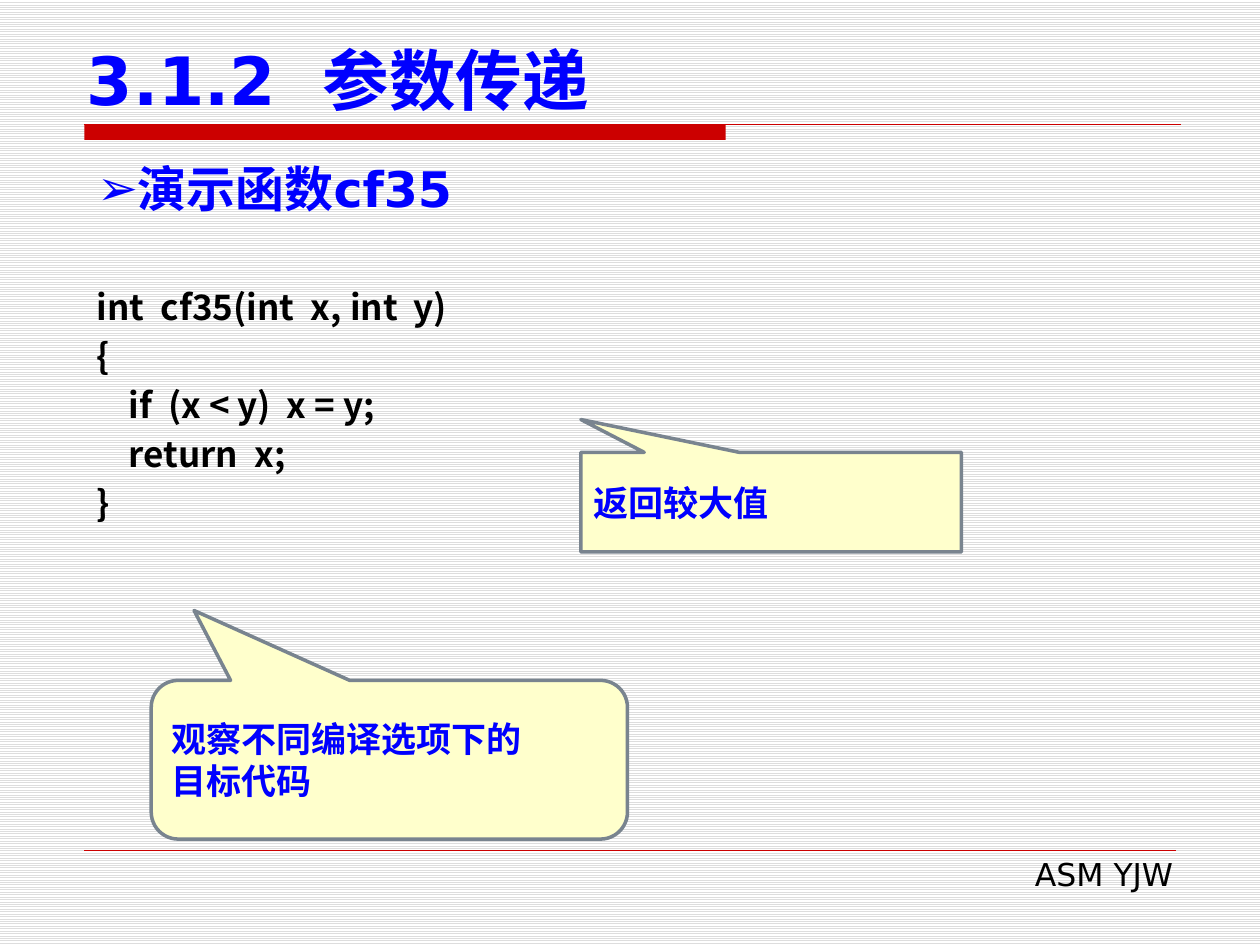
from lxml.etree import SubElement
from pptx import Presentation
from pptx.dml.color import RGBColor
from pptx.enum.dml import MSO_PATTERN
from pptx.enum.shapes import MSO_CONNECTOR, MSO_SHAPE
from pptx.enum.text import MSO_ANCHOR as ANCHOR, MSO_AUTO_SIZE, PP_ALIGN as ALIGN
from pptx.oxml.ns import qn
from pptx.util import Emu, Pt

LATIN = "DejaVu Sans"
CJK = "Noto Sans CJK SC"
BLUE, RED, BLACK = "0000FF", "CC0000", "000000"
CREAM, SLATE = "FFFFCC", "79848F"
CODE = [
    "int  cf35(int  x, int  y)",
    "{",
    "    if  (x < y)  x = y;",
    "    return  x;",
    "}",
]


def px(length):
    """Turn px, at 100 to the inch, into EMU."""
    return Emu(length * 9144)


def color(code):
    """Turn a hex string into a colour."""
    return RGBColor.from_string(code)


def place(shape, left, top, width, height):
    """Move and size a shape in px."""
    shape.left, shape.top = px(left), px(top)
    shape.width, shape.height = px(width), px(height)


def add_run(paragraph, text, size, code, bold=True, font=LATIN):
    """Add one formatted run to a paragraph."""
    run = paragraph.add_run()
    run.text = text
    run.font.size = Pt(size)
    run.font.bold = bold
    run.font.color.rgb = color(code)
    run.font.name = font
    SubElement(run.font._element, qn("a:ea"), typeface=CJK)


def write(shape, lines, size, code=BLUE, bold=True, font=LATIN,
          align=ALIGN.LEFT, anchor=ANCHOR.TOP, spacing=None):
    """Write lines into a shape, one paragraph each."""
    frame = shape.text_frame
    frame.word_wrap = True
    frame.auto_size = MSO_AUTO_SIZE.NONE
    frame.vertical_anchor = anchor
    for index, line in enumerate(lines):
        paragraph = frame.add_paragraph() if index else frame.paragraphs[0]
        paragraph.alignment = align
        paragraph.space_before = Pt(0)
        if spacing:
            paragraph.line_spacing = Pt(spacing)
        add_run(paragraph, line, size, code, bold, font)


def add_bullet(paragraph, symbol):
    """Put a symbol directly before the paragraph's text."""
    properties = paragraph._p.get_or_add_pPr()
    properties.set("marL", "0")
    properties.set("indent", "0")
    SubElement(properties, qn("a:buFont"), typeface=LATIN)
    SubElement(properties, qn("a:buChar"), char=symbol)


def add_text(slide, box, lines, size, **style):
    """Add a text box."""
    write(slide.shapes.add_textbox(*map(px, box)), lines, size, **style)


def add_rule(slide, left, right, top, width):
    """Add a horizontal red line."""
    rule = slide.shapes.add_connector(
        MSO_CONNECTOR.STRAIGHT, px(left), px(top), px(right), px(top))
    rule.line.color.rgb = color(RED)
    rule.line.width = Pt(width)
    SubElement(rule._element.spPr, qn("a:effectLst"))


def add_bar(slide, box):
    """Add the solid red bar under the title."""
    bar = slide.shapes.add_shape(MSO_SHAPE.RECTANGLE, *map(px, box))
    bar.shadow.inherit = False
    bar.fill.solid()
    bar.fill.fore_color.rgb = color(RED)
    bar.line.fill.background()


def add_callout(slide, kind, box, adjustments, lines):
    """Add a callout with its pointer set by the adjustments."""
    callout = slide.shapes.add_shape(kind, *map(px, box))
    callout.shadow.inherit = False
    callout.fill.solid()
    callout.fill.fore_color.rgb = color(CREAM)
    callout.line.color.rgb = color(SLATE)
    callout.line.width = Pt(2)
    for index, value in enumerate(adjustments):
        callout.adjustments[index] = value
    write(callout, lines, 20, anchor=ANCHOR.MIDDLE)


def set_background(slide):
    """Fill the background with light horizontal stripes."""
    fill = slide.background.fill
    fill.patterned()
    fill.pattern = MSO_PATTERN.LIGHT_HORIZONTAL
    fill.fore_color.rgb = color("DDDDDD")
    fill.back_color.rgb = color("FFFFFF")


def main():
    """Build and save the slide."""
    presentation = Presentation()
    presentation.slide_width, presentation.slide_height = px(1000), px(750)
    slide = presentation.slides.add_slide(presentation.slide_layouts[1])
    set_background(slide)

    title, body = slide.placeholders
    place(title, 59, 28, 906, 71)
    write(title, ["3.1.2  参数传递"], 38, anchor=ANCHOR.BOTTOM)
    place(body, 67, 121, 866, 57)
    add_bullet(body.text_frame.paragraphs[0], "➢")
    write(body, ["演示函数cf35"], 28, align=ALIGN.JUSTIFY)

    add_bar(slide, (67, 99, 509, 12))
    add_rule(slide, 67, 937, 99, 0.75)
    add_rule(slide, 67, 933, 675, 0.25)
    add_text(slide, (382, 674, 559, 40), ["ASM YJW"], 18,
             code=BLACK, bold=False, align=ALIGN.RIGHT)
    add_text(slide, (67, 216, 889, 206), CODE, 20,
             code=BLACK, font=CJK, spacing=28)
    add_callout(slide, MSO_SHAPE.ROUNDED_RECTANGULAR_CALLOUT,
                (120, 540, 378, 126), (-0.41, -0.94, 0.17),
                ["观察不同编译选项下的", "目标代码"])
    add_callout(slide, MSO_SHAPE.RECTANGULAR_CALLOUT,
                (461, 359, 302, 79), (-0.5, -0.83), ["返回较大值"])
    presentation.save("out.pptx")


if __name__ == "__main__":
    main()
